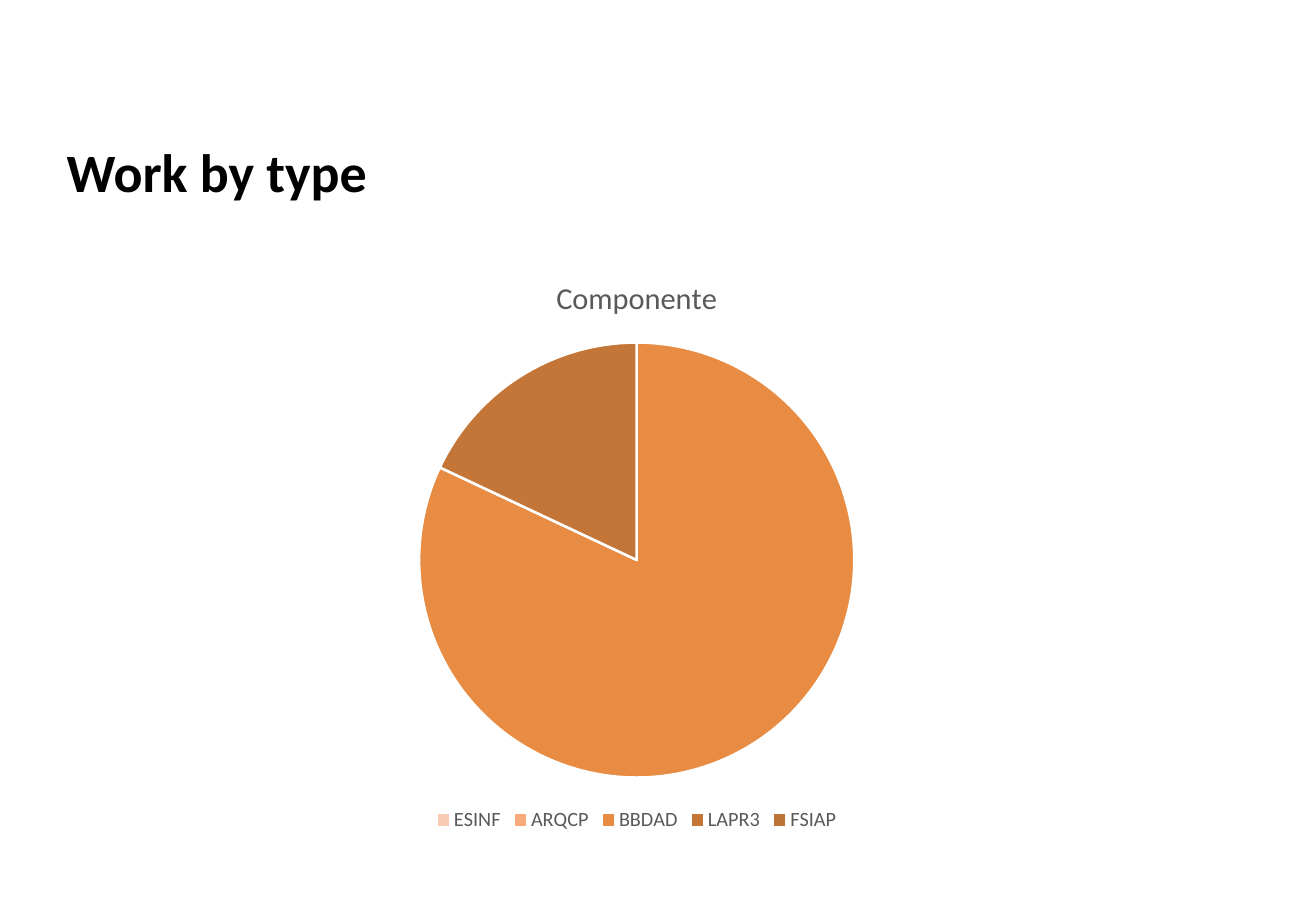
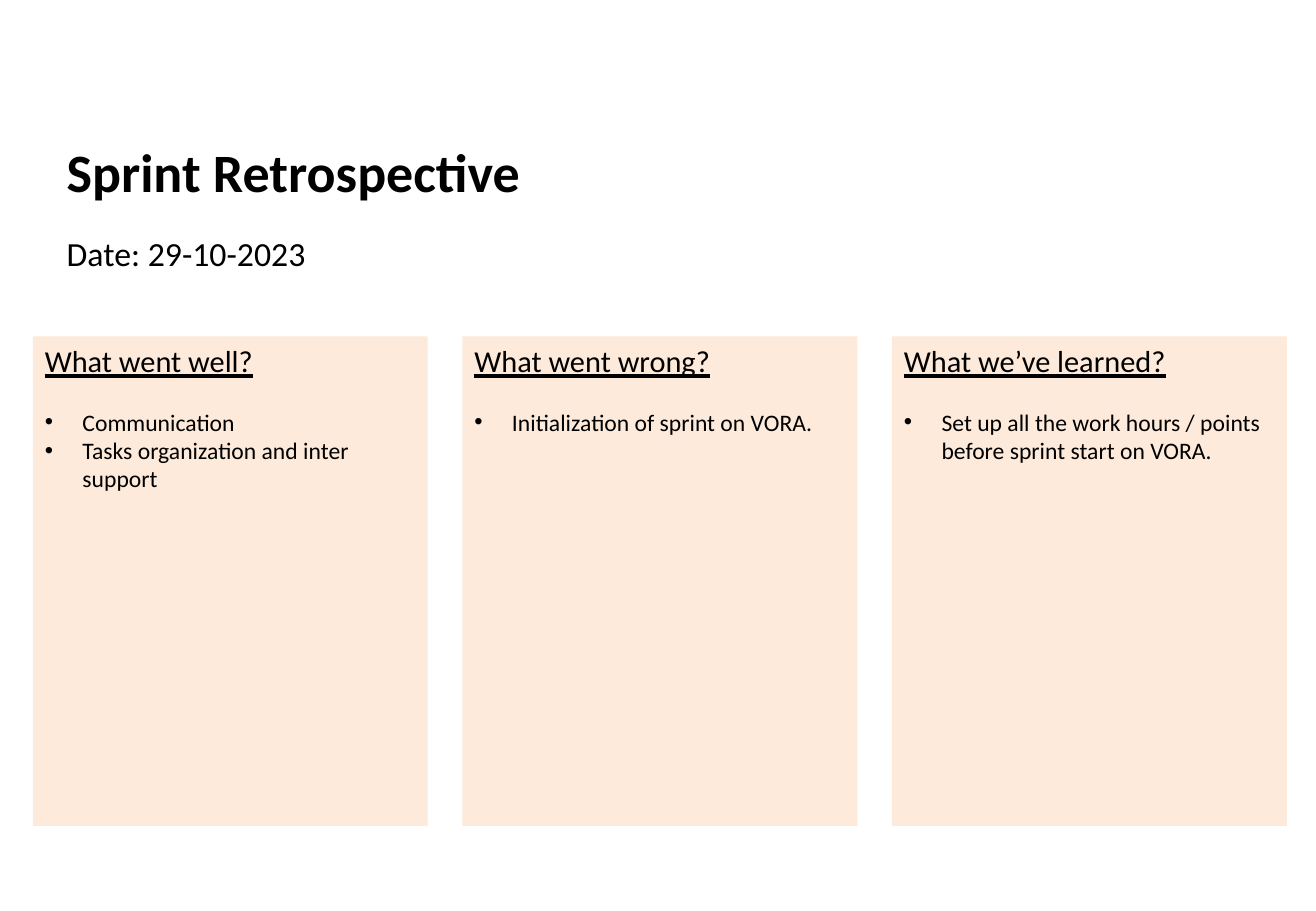
from dataclasses import dataclass

from lxml.etree import SubElement
from pptx import Presentation
from pptx.chart.data import CategoryChartData
from pptx.dml.color import RGBColor
from pptx.enum.chart import XL_CHART_TYPE as ChartType, XL_LEGEND_POSITION as LegendPosition
from pptx.enum.shapes import MSO_SHAPE as Preset
from pptx.enum.text import MSO_ANCHOR as Anchor, PP_ALIGN as Align
from pptx.oxml.ns import qn
from pptx.util import Inches, Pt

FONT = "Calibri"
BLACK, WHITE, GREY, PEACH = "000000", "FFFFFF", "595959", "FDEADA"
MARGIN, TEXT_WIDTH = 0.45, 9.89
FIRST_LEFT, LAST_LEFT = 0.27, 7.34
BULLET_INDENT = Inches(0.31)


@dataclass
class Slice:
    label: str
    value: int
    color: str


@dataclass
class Column:
    heading: str
    points: list[str]


SLICES = [
    Slice("ESINF", 0, "FACBB4"),
    Slice("ARQCP", 0, "F8AA7A"),
    Slice("BBDAD", 82, "E78C42"),
    Slice("LAPR3", 18, "C37637"),
    Slice("FSIAP", 0, "BB7235"),
]

COLUMNS = [
    Column("What went well?", ["Communication", "Tasks organization and inter support"]),
    Column("What went wrong?", ["Initialization of sprint on VORA."]),
    Column("What we’ve learned?",
           ["Set up all the work hours / points before sprint start on VORA."]),
]


def paint(color_format, color: str) -> None:
    color_format.rgb = RGBColor.from_string(color)


def fill_solid(fill, color: str) -> None:
    fill.solid()
    paint(fill.fore_color, color)


def style_font(font, size: int, color: str = BLACK, bold: bool = False) -> None:
    font.name, font.size, font.bold = FONT, Pt(size), bold
    paint(font.color, color)


def add_line(slide, text: str, top: float, height: float, size: int, bold: bool = False) -> None:
    frame = slide.shapes.add_textbox(
        Inches(MARGIN), Inches(top), Inches(TEXT_WIDTH), Inches(height)).text_frame
    frame.word_wrap = True
    frame.text = text
    style_font(frame.paragraphs[0].runs[0].font, size, bold=bold)


def add_titled_slide(deck, title: str):
    slide = deck.slides.add_slide(deck.slide_layouts[6])
    fill_solid(slide.background.fill, WHITE)
    add_line(slide, title, 1.09, 0.63, 32, bold=True)
    return slide


def add_work_pie(slide) -> None:
    data = CategoryChartData()
    data.categories = [part.label for part in SLICES]
    data.add_series("Series 1", [part.value for part in SLICES])
    chart = slide.shapes.add_chart(
        ChartType.PIE, Inches(1.63), Inches(2.08), Inches(7.22), Inches(4.81), data).chart
    style_font(chart.font, 10)

    heading = chart.chart_title.text_frame
    heading.text = "Componente"
    style_font(heading.paragraphs[0].runs[0].font, 18, GREY)
    chart.chart_title.include_in_layout = False

    chart.has_legend = True
    chart.legend.position = LegendPosition.BOTTOM
    chart.legend.include_in_layout = False
    style_font(chart.legend.font, 12, GREY)

    plot = chart.plots[0]
    plot.vary_by_categories = True
    for index, part in enumerate(SLICES):
        wedge = plot.series[0].points[index].format
        fill_solid(wedge.fill, part.color)
        fill_solid(wedge.line.fill, WHITE)
        wedge.line.width = Pt(1.5)


def add_bullet(paragraph) -> None:
    properties = paragraph._p.get_or_add_pPr()
    properties.set("marL", str(BULLET_INDENT))
    properties.set("indent", str(-BULLET_INDENT))
    SubElement(properties, qn("a:buFont"), typeface="Arial")
    SubElement(properties, qn("a:buChar"), char="•")


def add_column(slide, column: Column, left: float) -> None:
    panel = slide.shapes.add_shape(
        Preset.RECTANGLE, Inches(left), Inches(2.77), Inches(3.25), Inches(4.03))
    panel.shadow.inherit = False
    fill_solid(panel.fill, PEACH)
    panel.line.fill.background()

    frame = panel.text_frame
    frame.word_wrap = True
    frame.vertical_anchor = Anchor.TOP
    frame.text = "\n".join([column.heading, *column.points])
    heading, *points = frame.paragraphs
    heading.alignment = Align.LEFT
    heading.space_after = Pt(17)
    style_font(heading.runs[0].font, 18)
    heading.runs[0].font.underline = True
    for point in points:
        point.alignment = Align.LEFT
        add_bullet(point)
        style_font(point.runs[0].font, 14)


def main() -> None:
    deck = Presentation()
    deck.slide_width, deck.slide_height = Inches(10.83), Inches(7.5)

    add_work_pie(add_titled_slide(deck, "Work by type"))

    retrospective = add_titled_slide(deck, "Sprint Retrospective")
    add_line(retrospective, "Date: 29-10-2023", 1.87, 0.45, 20)
    pitch = (LAST_LEFT - FIRST_LEFT) / (len(COLUMNS) - 1)
    for index, column in enumerate(COLUMNS):
        add_column(retrospective, column, FIRST_LEFT + index * pitch)

    deck.save("out.pptx")


if __name__ == "__main__":
    main()
